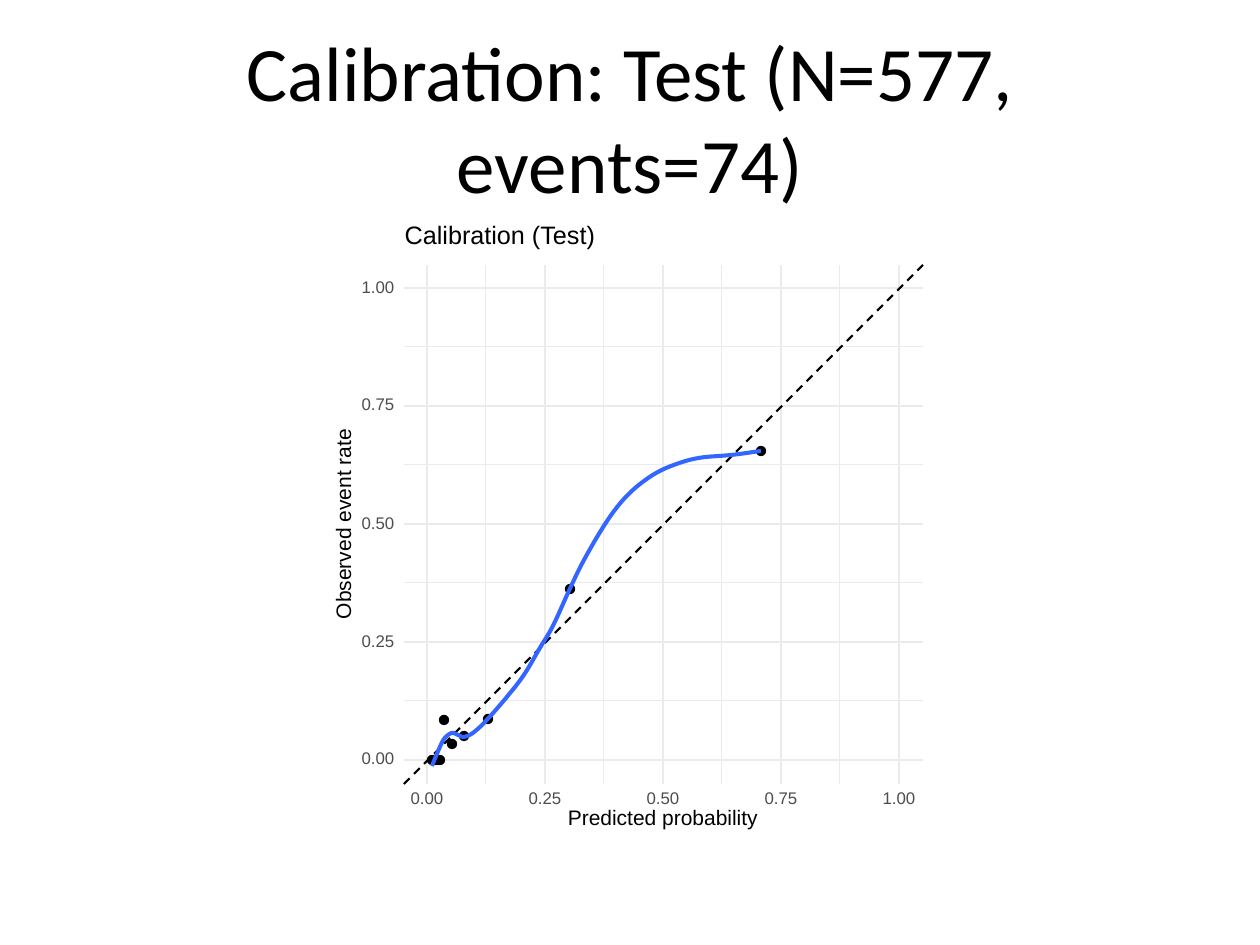
from lxml import etree
from pptx import Presentation
from pptx import util as u
from pptx.dml.color import RGBColor
from pptx.enum import dml, shapes, text
from pptx.oxml.ns import qn

PX = 914400 // 126
COLORS = {"paper": "FFFFFF", "grid": "EBEBEB", "ink": "000000",
          "tick": "4D4D4D", "curve": "3366FF"}

LEFT, TOP, RIGHT, BOTTOM = 404, 265, 923, 784
ZERO_X, ZERO_Y, UNIT = 427, 760, 472
TICKS = [0, 0.25, 0.5, 0.75, 1]
MINOR_TICKS = [0.125, 0.375, 0.625, 0.875]

POINTS = [(432, 760), (435, 760), (437, 760), (440, 760), (444, 720),
          (452, 744), (464, 736), (488, 719), (570, 589), (761, 451)]
DOT = 9

CURVE_KNOTS = [(432, 766), (440, 747), (445, 738), (452, 733), (458, 735), (464, 737),
               (473, 733), (486, 721), (507, 697), (524, 675), (540, 648), (553, 626),
               (569, 591), (582, 564), (599, 534), (615, 510), (632, 491), (653, 475),
               (674, 465), (699, 458), (732, 455), (761, 451)]
STEPS = 6


def px(n):
    return u.Emu(round(n * PX))


def rgb(name):
    return RGBColor.from_string(COLORS[name])


def x_at(value):
    return ZERO_X + value * UNIT


def y_at(value):
    return ZERO_Y - value * UNIT


def add_title(s, content):
    sp = s.shapes.title
    sp.left, sp.top, sp.width, sp.height = px(63), px(38), px(1134), px(158)
    tf = sp.text_frame
    tf.text = content
    tf.vertical_anchor = text.MSO_ANCHOR.MIDDLE
    p = tf.paragraphs[0]
    p.alignment = text.PP_ALIGN.CENTER
    p.font.name, p.font.size = "Calibri", u.Pt(44)
    p.font.color.rgb = rgb("ink")


def add_filled(grp, kind, x, y, w, h, color, line_width=None):
    sp = grp.shapes.add_shape(kind, px(x), px(y), px(w), px(h))
    sp.shadow.inherit = False
    sp.fill.solid()
    sp.fill.fore_color.rgb = rgb(color)
    if line_width:
        sp.line.color.rgb = rgb(color)
        sp.line.width = u.Pt(line_width)
    else:
        sp.line.fill.background()


def add_line(grp, x1, y1, x2, y2, color, width, dash=None):
    ln = grp.shapes.add_connector(shapes.MSO_CONNECTOR.STRAIGHT,
                                  px(x1), px(y1), px(x2), px(y2))
    ln.line.color.rgb = rgb(color)
    ln.line.width = u.Pt(width)
    if dash:
        ln.line.dash_style = dash
    etree.SubElement(ln._element.spPr, qn("a:effectLst"))


def add_label(grp, content, cx, cy, w, h, size, color="ink", rotation=0):
    """Place a one-line label around its centre."""
    sp = grp.shapes.add_textbox(px(cx - w / 2), px(cy - h / 2), px(w), px(h))
    sp.rotation = rotation
    tf = sp.text_frame
    tf.margin_left = tf.margin_top = tf.margin_right = tf.margin_bottom = 0
    tf.word_wrap = False
    tf.vertical_anchor = text.MSO_ANCHOR.MIDDLE
    tf.text = content
    p = tf.paragraphs[0]
    p.alignment = text.PP_ALIGN.CENTER
    p.line_spacing = u.Pt(size)
    p.font.name, p.font.size = "Arial", u.Pt(size)
    p.font.color.rgb = rgb(color)


def add_grid(grp):
    for values, width in ((MINOR_TICKS, 0.58), (TICKS, 1.16)):
        for v in values:
            add_line(grp, LEFT, y_at(v), RIGHT, y_at(v), "grid", width)
        for v in values:
            add_line(grp, x_at(v), BOTTOM, x_at(v), TOP, "grid", width)


def smooth_path(knots):
    """Join the knots with a Catmull-Rom spline, returned as short segments."""
    padded = [knots[0], *knots, knots[-1]]
    path = []
    for quad in zip(padded, padded[1:], padded[2:], padded[3:]):
        for i in range(STEPS):
            t = i / STEPS
            path.append(tuple(
                b + t / 2 * (c - a + t * (2 * a - 5 * b + 4 * c - d
                                          + t * (3 * b - a - 3 * c + d)))
                for a, b, c, d in zip(*quad)))
    return path + [knots[-1]]


def add_curve(grp):
    path = [(px(x), px(y)) for x, y in smooth_path(CURVE_KNOTS)]
    fb = grp.shapes.build_freeform(*path[0])
    fb.add_line_segments(path[1:], close=False)
    sp = fb.convert_to_shape()
    sp.shadow.inherit = False
    sp.fill.background()
    sp.line.color.rgb = rgb("curve")
    sp.line.width = u.Pt(2.33)


def add_tick_labels(grp):
    for v in TICKS:
        add_label(grp, f"{v:.2f}", 378, y_at(v), 36, 12, 9.6, "tick")
    for v in TICKS:
        add_label(grp, f"{v:.2f}", x_at(v), 799, 36, 12, 9.6, "tick")


def add_plot(s):
    grp = s.shapes.add_group_shape()
    rect, oval = shapes.MSO_SHAPE.RECTANGLE, shapes.MSO_SHAPE.OVAL
    add_filled(grp, rect, 63, 220, 1134, 624, "paper", 0.75)
    add_filled(grp, rect, 326, 220, 607, 624, "paper")
    add_grid(grp)
    add_line(grp, LEFT, BOTTOM, RIGHT, TOP, "ink", 1.16, dml.MSO_LINE.DASH)
    for x, y in POINTS:
        add_filled(grp, oval, x - DOT / 2, y - DOT / 2, DOT, DOT, "ink", 0.77)
    add_curve(grp)
    add_tick_labels(grp)
    add_label(grp, "Predicted probability", 663, 819, 200, 19, 12)
    add_label(grp, "Observed event rate", 345, 524, 200, 15, 12, rotation=270)
    add_label(grp, "Calibration (Test)", 500, 237, 200, 24, 14.4)


def main():
    prs = Presentation()
    prs.slide_width, prs.slide_height = px(1260), px(945)
    s = prs.slides.add_slide(prs.slide_layouts[5])
    add_title(s, "Calibration: Test (N=577, events=74)")
    add_plot(s)
    prs.save("out.pptx")


if __name__ == "__main__":
    main()
